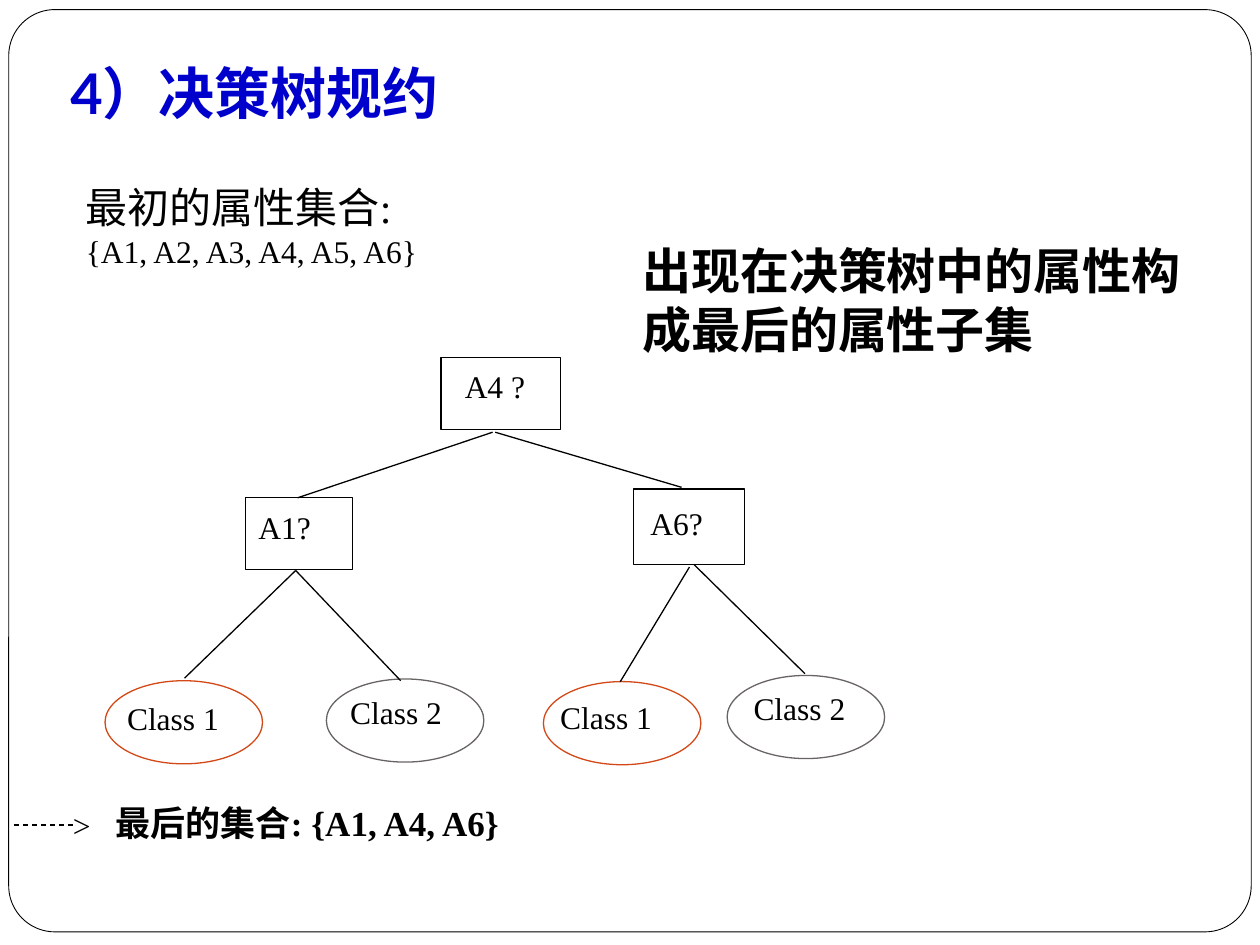
from dataclasses import dataclass
from lxml import etree
from pptx import Presentation
from pptx.dml.color import RGBColor
from pptx.enum.dml import MSO_LINE
from pptx.enum.shapes import MSO_CONNECTOR, MSO_SHAPE
from pptx.enum.text import MSO_ANCHOR, MSO_AUTO_SIZE, PP_ALIGN
from pptx.oxml.ns import qn
from pptx.util import Pt

DASH = MSO_LINE.DASH
STRAIGHT = MSO_CONNECTOR.STRAIGHT
RECT, OVAL, ROUND = MSO_SHAPE.RECTANGLE, MSO_SHAPE.OVAL, MSO_SHAPE.ROUNDED_RECTANGLE
LOW = MSO_ANCHOR.BOTTOM
FIXED = MSO_AUTO_SIZE.NONE
LEFT = PP_ALIGN.LEFT


@dataclass(frozen=True)
class Theme:
    ink: str = "000000"
    title: str = "0000CC"
    first: str = "D34817"
    second: str = "696464"
    head: str = "Lato"
    body: str = "Times New Roman"
    huge: int = 32
    large: int = 28
    lead: int = 24
    mid: int = 20
    base: int = 18
    thin: float = 0.5
    line: float = 0.75


def write(para, text, size, color, face, bold=False):
    para.text = text
    para.alignment = LEFT
    font = para.font
    font.size, font.name, font.bold = Pt(size), face, bold
    font.color.rgb = RGBColor.from_string(color)


class Sheet:
    def __init__(self, slide, theme):
        self.slide = slide
        self.theme = theme

    def title(self, text, box):
        shape = self.slide.shapes.title
        shape.left, shape.top, shape.width, shape.height = map(Pt, box)
        frame = shape.text_frame
        frame.auto_size = FIXED
        frame.vertical_anchor = LOW
        frame.margin_bottom = Pt(7.2)
        look = self.theme
        write(frame.paragraphs[0], text, look.huge, look.title, look.head, bold=True)

    def shape(self, kind, box, color, width):
        shape = self.slide.shapes.add_shape(kind, *map(Pt, box))
        shape.shadow.inherit = False
        shape.fill.background()
        shape.line.color.rgb = RGBColor.from_string(color)
        shape.line.width = Pt(width)
        return shape

    def text(self, box, *rows, bold=False):
        frame = self.slide.shapes.add_textbox(*map(Pt, box)).text_frame
        frame.word_wrap = True
        for i, (text, size) in enumerate(rows):
            para = frame.add_paragraph() if i else frame.paragraphs[0]
            write(para, text, size, self.theme.ink, self.theme.body, bold=bold)

    def node(self, kind, box, color, text, spot):
        self.shape(kind, box, color, self.theme.line)
        self.text((*spot, 84, 36), (text, self.theme.base))

    def link(self, start, end, dash=None):
        line = self.slide.shapes.add_connector(STRAIGHT, *map(Pt, start + end))
        line.line.color.rgb = RGBColor.from_string(self.theme.ink)
        line.line.width = Pt(self.theme.line)
        if dash:
            line.line.dash_style = dash
        etree.SubElement(line.element.spPr, qn("a:effectLst"))


def main():
    deck = Presentation()
    deck.slide_width, deck.slide_height = Pt(720), Pt(540)
    look = Theme()
    sheet = Sheet(deck.slides.add_slide(deck.slide_layouts[5]), look)

    edge = sheet.shape(ROUND, (5, 5.5, 710, 527), look.ink, look.thin)
    edge.adjustments[0] = 0.05
    sheet.title("4）决策树规约", (33, 11, 590, 68))

    sheet.text((360, 134, 340.5, 74),
               ("出现在决策树中的属性构成最后的属性子集", look.large), bold=True)
    sheet.text((42, 100, 232.5, 58), ("最初的属性集合:", look.lead),
               ("{A1, A2, A3, A4, A5, A6}", look.base))

    tests = [
        ("A4 ?", (252, 204.5, 68.5, 41), (258.5, 206)),
        ("A1?", (140.5, 284.5, 61, 41), (140.5, 286.5)),
        ("A6?", (362, 279.5, 63.5, 43), (364.5, 284.5)),
    ]
    for text, box, spot in tests:
        sheet.node(RECT, box, look.ink, text, spot)

    leaves = [
        ("Class 1", look.first, (60, 389), (65.5, 396)),
        ("Class 2", look.second, (186.5, 388), (193, 392.5)),
        ("Class 1", look.first, (310.5, 389.5), (313, 395.5)),
        ("Class 2", look.second, (415.5, 386), (423.5, 390)),
    ]
    for text, color, place, spot in leaves:
        sheet.node(OVAL, (*place, 90, 47.5), color, text, spot)

    links = [
        ((281.5, 247), (170, 284.5)),
        ((283, 247), (389.5, 278.5)),
        ((169, 326), (105.5, 387.5)),
        ((169, 326), (229, 389)),
        ((394, 324), (354.5, 389.5)),
        ((396.5, 322.5), (460, 385)),
    ]
    for start, end in links:
        sheet.link(start, end)

    sheet.link((8, 471.5), (42, 471.5), dash=DASH)
    sheet.text((34.5, 457, 26, 29), (">", look.base))
    sheet.text((59, 454.5, 267, 32), ("最后的集合: {A1, A4, A6}", look.mid), bold=True)
    deck.save("out.pptx")


if __name__ == "__main__":
    main()
